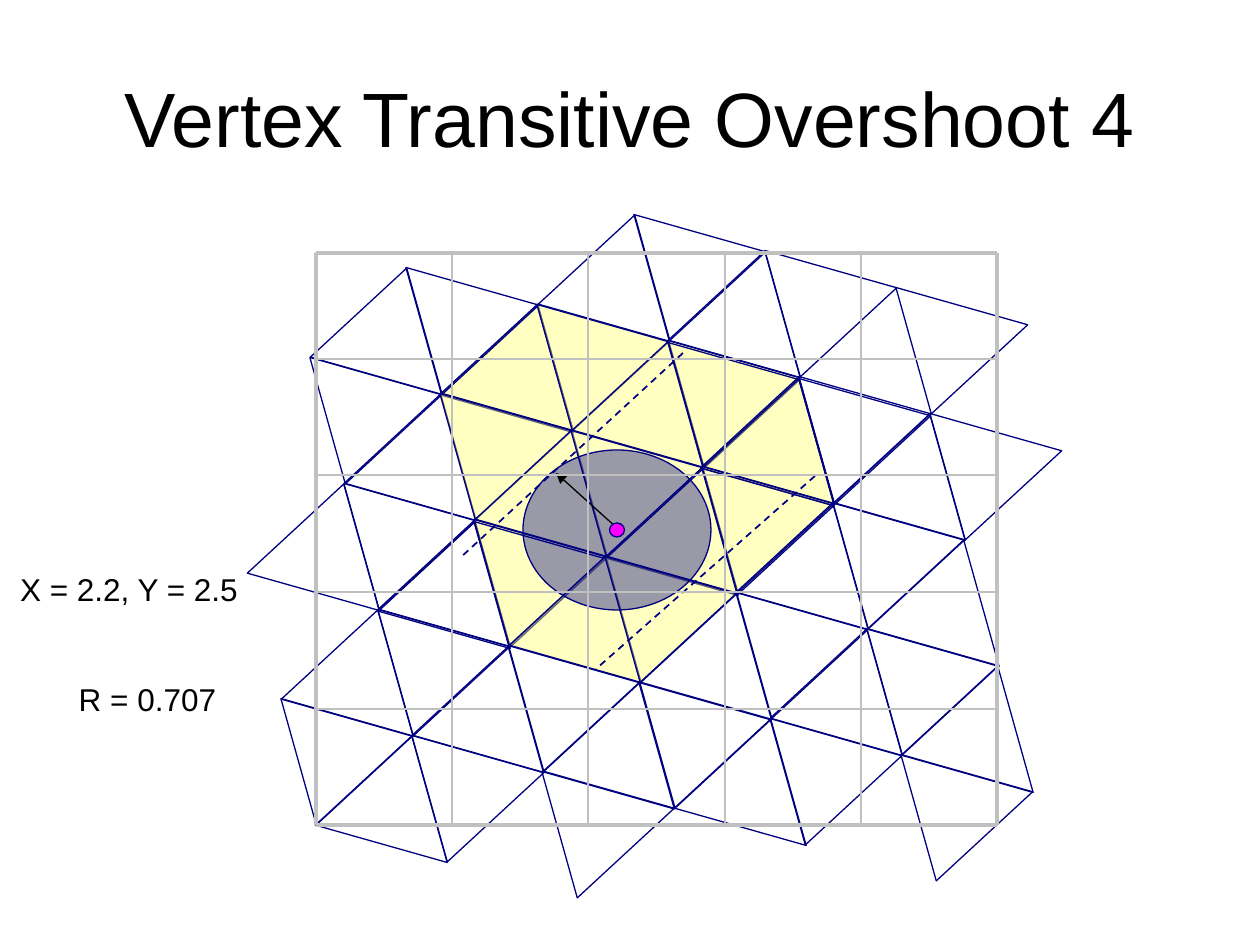
from lxml import etree
from pptx import Presentation
from pptx.dml.color import RGBColor
from pptx.enum.dml import MSO_LINE
from pptx.enum.shapes import MSO_CONNECTOR, MSO_SHAPE
from pptx.enum.text import MSO_ANCHOR, MSO_AUTO_SIZE, PP_ALIGN
from pptx.oxml.ns import qn
from pptx.util import Pt

PX = 914400 / 126
TRIANGLE = MSO_SHAPE.ISOSCELES_TRIANGLE
OVAL = MSO_SHAPE.OVAL
RECT = MSO_SHAPE.RECTANGLE
STRAIGHT = MSO_CONNECTOR.STRAIGHT
DASH = MSO_LINE.DASH
CENTER = PP_ALIGN.CENTER
MIDDLE = MSO_ANCHOR.MIDDLE
FIT_SHAPE = MSO_AUTO_SIZE.SHAPE_TO_FIT_TEXT

NAVY = RGBColor(0x00, 0x00, 0x80)
YELLOW = RGBColor(0xFF, 0xFF, 0x66)
MAGENTA = RGBColor(0xFF, 0x00, 0xFF)
SILVER = RGBColor(0xC0, 0xC0, 0xC0)
BLACK = RGBColor(0x00, 0x00, 0x00)


def add_shape(shapes, kind, x, y, w, h, line, fill=None, alpha=100):
    sp = shapes.add_shape(kind, *[round(v * PX) for v in (x, y, w, h)])
    sp.shadow.inherit = False
    sp.line.color.rgb = line
    sp.line.width = Pt(0.75)
    if fill is None:
        sp.fill.background()
    else:
        sp.fill.solid()
        sp.fill.fore_color.rgb = fill
        if alpha < 100:
            clr = sp.fill._xPr.find(qn("a:solidFill"))[0]
            etree.SubElement(clr, qn("a:alpha"), val=str(alpha * 1000))
    return sp


def add_line(shapes, x1, y1, x2, y2, color, width):
    cx = shapes.add_connector(STRAIGHT, *[round(v * PX) for v in (x1, y1, x2, y2)])
    cx.line.color.rgb = color
    cx.line.width = Pt(width)
    etree.SubElement(cx._element.spPr, qn("a:effectLst"))
    return cx


prs = Presentation()
prs.slide_width = round(1260 * PX)
prs.slide_height = round(945 * PX)
s = prs.slides.add_slide(prs.slide_layouts[5])

title = s.shapes.title
title.left, title.top, title.width, title.height = [
    round(v * PX) for v in (63, 38, 1134, 158)]
tf = title.text_frame
tf.text = "Vertex Transitive Overshoot 4"
tf.vertical_anchor = MIDDLE
p = tf.paragraphs[0]
p.alignment = CENTER
p.font.name = "Arial"
p.font.size = Pt(44)
p.font.color.rgb = BLACK

TILE_W, TILE_H = 137, 112
TILT = 15.8
ORIGIN_X, ORIGIN_Y = 289, 140
TEN_COLS_X, TEN_COLS_Y = 654, 182
ROW_X, ROW_Y = 34, 126
SEAM = 2

lattice_rows = [
    {"cols": range(4, 10), "gaps": [8], "shaded": [], "seams": []},
    {"cols": range(0, 10), "gaps": [], "shaded": range(2, 7), "seams": [2, 5, 6, 7]},
    {"cols": range(-1, 9), "gaps": [], "shaded": range(1, 6), "seams": [4, 5]},
    {"cols": range(-2, 9), "gaps": [], "shaded": range(1, 4), "seams": [0, 1]},
    {"cols": range(-2, 8), "gaps": [6], "shaded": [], "seams": []},
    {"cols": range(-3, 2), "gaps": [0], "shaded": [], "seams": []},
]
for row, tiles in enumerate(lattice_rows):
    for col in tiles["cols"]:
        if col in tiles["gaps"]:
            continue
        x = ORIGIN_X + ROW_X * row + round(TEN_COLS_X * col / 10)
        y = ORIGIN_Y + ROW_Y * row + round(TEN_COLS_Y * col / 10)
        rotation = TILT if col % 2 == 0 else TILT + 180
        fill = YELLOW if col in tiles["shaded"] else None
        sp = add_shape(s.shapes, TRIANGLE, x, y, TILE_W, TILE_H, NAVY, fill, 40)
        sp.rotation = rotation
        if col in tiles["seams"]:
            sp = add_shape(s.shapes, TRIANGLE, x, y + SEAM, TILE_W, TILE_H, NAVY)
            sp.rotation = rotation

disc = s.shapes.add_group_shape().shapes
center_x, center_y = 617, 530
disc_w, disc_h = 188, 160
dot_w, dot_h = 15, 14
add_line(disc, 683, 353, 460, 558, NAVY, 1).line.dash_style = DASH
add_shape(disc, OVAL, center_x - disc_w / 2, center_y - disc_h / 2,
          disc_w, disc_h, NAVY, NAVY, 40)
radius = add_line(disc, center_x, center_y - 2, 556, 473, BLACK, 0.75)
etree.SubElement(radius.line._get_or_add_ln(), qn("a:tailEnd"), type="triangle")
add_shape(disc, OVAL, center_x - dot_w / 2, center_y - dot_h / 2,
          dot_w, dot_h, NAVY, MAGENTA)
add_line(disc, 815, 476, 596, 669, NAVY, 1).line.dash_style = DASH

grid = s.shapes.add_group_shape().shapes
left, right = 316, 997
top, second, bottom = 253, 359, 825
xs = [left + round((right - left) * i / 5) for i in range(6)]
ys = [top] + [second + round((bottom - second) * i / 4) for i in range(5)]
open_cell = (2, 2)
for row in range(5):
    for col in range(5):
        if (row, col) != open_cell:
            add_shape(grid, RECT, xs[col], ys[row],
                      xs[col + 1] - xs[col], ys[row + 1] - ys[row], SILVER)
for y in ys:
    add_line(grid, left, y, right, y, SILVER, 2.25 if y in (top, bottom) else 1)
for x in xs:
    add_line(grid, x, top, x, bottom, SILVER, 2.25 if x in (left, right) else 1)

labels = [("X = 2.2, Y = 2.5", 0, 564, 258), ("R = 0.707", 40, 674, 215)]
for text, x, y, w in labels:
    tb = s.shapes.add_textbox(*[round(v * PX) for v in (x, y, w, 50)])
    tf = tb.text_frame
    tf.word_wrap = True
    tf.auto_size = FIT_SHAPE
    p = tf.paragraphs[0]
    p.text = text
    p.alignment = CENTER
    p.space_before = Pt(11.2)
    p.font.name = "Arial"
    p.font.size = Pt(18)
    p.font.color.rgb = BLACK

prs.save("out.pptx")
